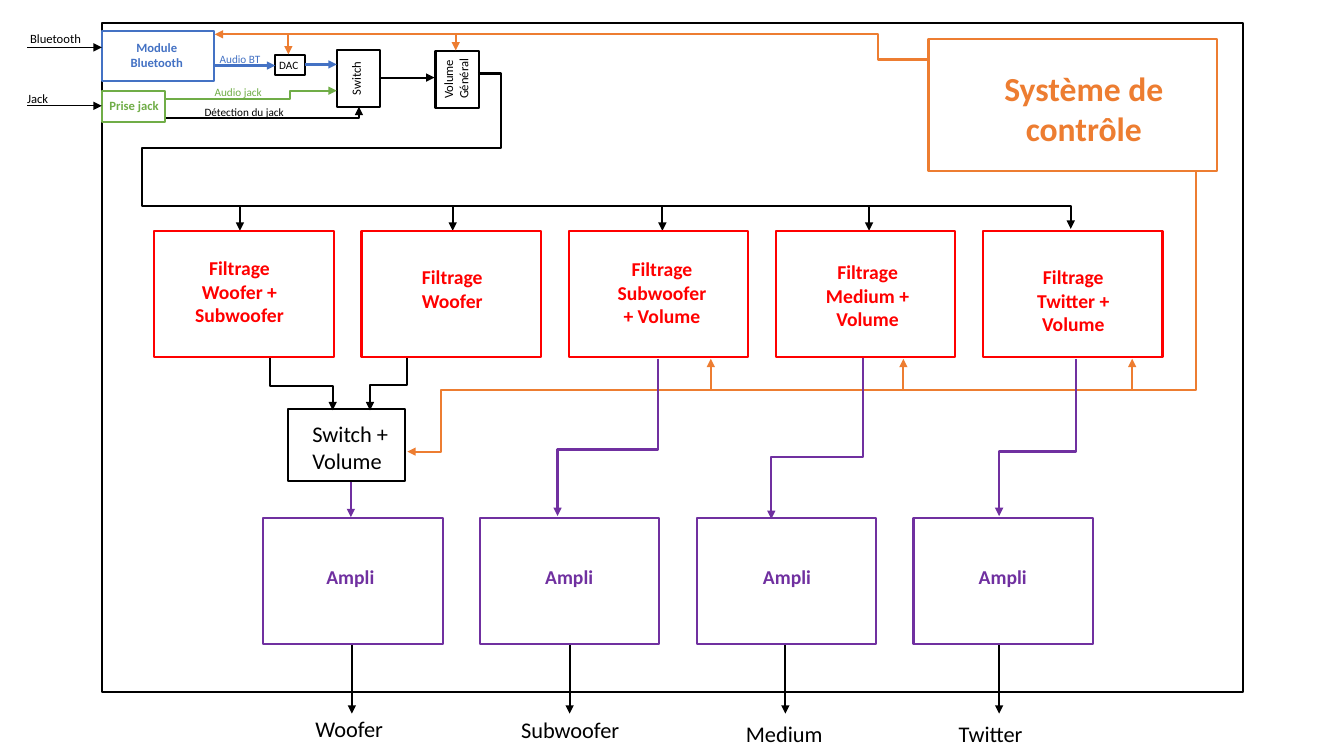
"""Build a block diagram of an audio system with its control unit."""
from dataclasses import dataclass

from lxml.etree import SubElement as Sub
from pptx import Presentation
from pptx.dml.color import RGBColor as Rgb
from pptx.enum.shapes import MSO_CONNECTOR as Conn, MSO_SHAPE as Kind
from pptx.enum.text import MSO_AUTO_SIZE as Auto, PP_ALIGN as Align
from pptx.oxml.ns import qn
from pptx.util import Inches, Pt


@dataclass(frozen=True)
class Theme:
    """Colours, font and sizes of the diagram."""
    black: str = "000000"
    blue: str = "4472C4"
    green: str = "70AD47"
    orange: str = "ED7D31"
    red: str = "FF0000"
    purple: str = "7030A0"
    font: str = "Calibri"
    tiny: int = 8
    small: int = 9
    mid: int = 14
    large: int = 16
    huge: int = 24
    thin: float = 0.5
    thick: float = 1.5


T = Theme()

BOXES = [
    ((1.01, 0.23, 11.32, 6.64), T.black),
    ((1.01, 0.9, 0.63, 0.31), T.green),
    ((1.01, 0.31, 1.11, 0.49), T.blue),
    ((3.34, 0.5, 0.43, 0.56), T.black),
    ((2.73, 0.55, 0.3, 0.19), T.black),
    ((9.21, 0.39, 2.86, 1.31), T.orange),
    ((4.32, 0.51, 0.43, 0.56), T.black),
    ((2.86, 4.06, 1.16, 0.71), T.black),
]

INPUTS = [
    ("Bluetooth", (0.2, 0.26, 0.71, 0.25), 0.47),
    ("Jack", (0.17, 0.85, 0.41, 0.25), 1.05),
]

WIRES = [
    (T.green, [(1.64, 0.98), (2.88, 0.98), (2.88, 0.9), (3.34, 0.9)]),
    (T.blue, [(2.12, 0.65), (2.73, 0.65)]),
    (T.blue, [(3.03, 0.64), (3.34, 0.64)]),
    (T.black, [(1.65, 1.17), (3.56, 1.17), (3.56, 1.06)]),
    (T.black, [(3.76, 0.77), (4.31, 0.77)]),
    (T.orange, [(9.2, 0.59), (8.71, 0.59), (8.71, 0.34), (2.13, 0.34)]),
    (T.orange, [(2.86, 0.34), (2.86, 0.54)]),
    (T.orange, [(4.52, 0.34), (4.52, 0.5)]),
    (T.orange, [(11.86, 1.71), (11.86, 3.87), (11.23, 3.87), (11.23, 3.56)]),
    (T.orange, [(11.23, 3.87), (8.96, 3.87), (8.96, 3.56)]),
    (T.orange, [(8.96, 3.87), (7.05, 3.87), (7.05, 3.56)]),
    (T.orange, [(7.05, 3.87), (4.37, 3.87), (4.37, 4.48), (4.04, 4.48)]),
    (T.black, [(4.04, 3.55), (4.04, 3.82), (3.67, 3.82), (3.67, 4.07)]),
    (T.black, [(2.68, 3.55), (2.68, 3.83), (3.3, 3.83), (3.3, 4.07)]),
    (T.black, [(4.74, 0.73), (4.97, 0.73), (4.97, 1.47), (1.41, 1.47),
               (1.41, 2.04), (10.62, 2.04), (10.62, 2.27)]),
    (T.purple, [(3.48, 4.78), (3.48, 5.13)]),
    (T.purple, [(6.53, 3.56), (6.53, 4.46), (5.53, 4.46), (5.53, 5.12)]),
    (T.purple, [(8.56, 3.55), (8.56, 4.53), (7.65, 4.53), (7.65, 5.15)]),
    (T.purple, [(10.67, 3.56), (10.67, 4.48), (9.91, 4.48), (9.91, 5.12)]),
]
DROPS = [2.38, 4.49, 6.57, 8.62]

PLAIN = [
    ("Détection du jack", (1.93, 1, 1.02, 0.24), T.tiny, T.black, True),
    ("Audio jack", (2.03, 0.8, 0.68, 0.24), T.tiny, T.green, True),
    ("Audio BT", (2.08, 0.47, 0.68, 0.24), T.tiny, T.blue, True),
    ("DAC", (2.67, 0.53, 0.4, 0.24), T.tiny, T.black, True),
    ("Switch +\nVolume", (3, 4.12, 0.96, 0.64), T.large, T.black, False),
]
TURNED = [
    ("Switch", (3.26, 0.65, 0.54, 0.25)),
    ("Volume\nGénéral", (4.22, 0.58, 0.6, 0.4)),
]
BOLD = [
    ("Prise jack", (0.98, 0.92, 0.7, 0.25), T.small, T.green),
    ("Module\vBluetooth", (1.19, 0.35, 0.73, 0.4), T.small, T.blue),
    ("Système de\ncontrôle", (9.85, 0.62, 1.8, 0.91), T.huge, T.orange),
]

FILTERS = [
    ("Filtrage Woofer + Subwoofer", 1.78, 2.49, 0.81),
    ("Filtrage Woofer", 3.89, 2.58, 0.57),
    ("Filtrage Subwoofer + Volume", 5.97, 2.5, 0.81),
    ("Filtrage Medium + Volume", 8.01, 2.53, 0.81),
    ("Filtrage Twitter + Volume", 10.05, 2.58, 0.81),
]
AMPS = [
    (2.88, 3.49, "Woofer", (3.03, 7.05, 0.88, 0.37)),
    (5.05, 5.65, "Subwoofer", (5.07, 7.06, 1.19, 0.37)),
    (7.21, 7.79, "Medium", (7.3, 7.1, 0.97, 0.37)),
    (9.35, 9.91, "Twitter", (9.41, 7.1, 0.85, 0.37)),
]
BLOCK = (1.78, 1.25)

deck = Presentation()
deck.slide_width, deck.slide_height = Inches(13.33), Inches(7.5)
shapes = deck.slides.add_slide(deck.slide_layouts[6]).shapes


def ink(item, color, width=T.thick):
    item.line.color.rgb = Rgb.from_string(color)
    item.line.width = Pt(width)


def box(at, color):
    item = shapes.add_shape(Kind.RECTANGLE, *map(Inches, at))
    item.shadow.inherit = False
    item.fill.background()
    ink(item, color)


def wire(color, route, width=T.thick):
    dots = [(Inches(x), Inches(y)) for x, y in route]
    if len(dots) == 2:
        item = shapes.add_connector(Conn.STRAIGHT, *dots[0], *dots[1])
    else:
        path = shapes.build_freeform(*dots[0])
        path.add_line_segments(dots[1:], close=False)
        item = path.convert_to_shape()
        item.fill.background()
    ink(item, color, width)
    props = item.element.spPr
    Sub(props.find(qn("a:ln")), qn("a:tailEnd"), type="triangle")
    Sub(props, qn("a:effectLst"))


def label(text, at, size, color, wrap=False, bold=False, turn=0):
    item = shapes.add_textbox(*map(Inches, at))
    item.rotation = turn
    frame = item.text_frame
    frame.word_wrap = wrap
    frame.auto_size = Auto.SHAPE_TO_FIT_TEXT
    for i, line in enumerate(text.split("\n")):
        para = frame.add_paragraph() if i else frame.paragraphs[0]
        para.alignment = Align.CENTER if bold else Align.LEFT
        for j, part in enumerate(line.split("\v")):
            if j:
                para.add_line_break()
            run = para.add_run()
            run.text = part
            run.font.name, run.font.size = T.font, Pt(size)
            run.font.bold = bold
            run.font.color.rgb = Rgb.from_string(color)


for at, color in BOXES:
    box(at, color)
for text, at, y in INPUTS:
    wire(T.black, [(0.27, y), (1.01, y)], T.thin)
    label(text, at, T.small, T.black)
for color, route in WIRES:
    wire(color, route)
for x in DROPS:
    wire(T.black, [(x, 2.04), (x, 2.29)])
for text, at, size, color, wrap in PLAIN:
    label(text, at, size, color, wrap)
for text, at in TURNED:
    label(text, at, T.small, T.black, turn=270)
for text, at, size, color in BOLD:
    label(text, at, size, color, bold=True)

step = (9.75 - 1.53) / (len(FILTERS) - 1)
for i, (text, x, y, high) in enumerate(FILTERS):
    box((1.53 + i * step, 2.29, *BLOCK), T.red)
    label(text, (x, y, 1.19, high), T.mid, T.red, wrap=True, bold=True)
for i, (x, out, name, at) in enumerate(AMPS):
    box((2.61 + i * 2.15, 5.14, *BLOCK), T.purple)
    label("Ampli", (x, 5.56, 1.19, 0.34), T.mid, T.purple, wrap=True, bold=True)
    wire(T.black, [(out, 6.4), (out, 7.08)])
    label(name, at, T.large, T.black)

deck.save("out.pptx")
